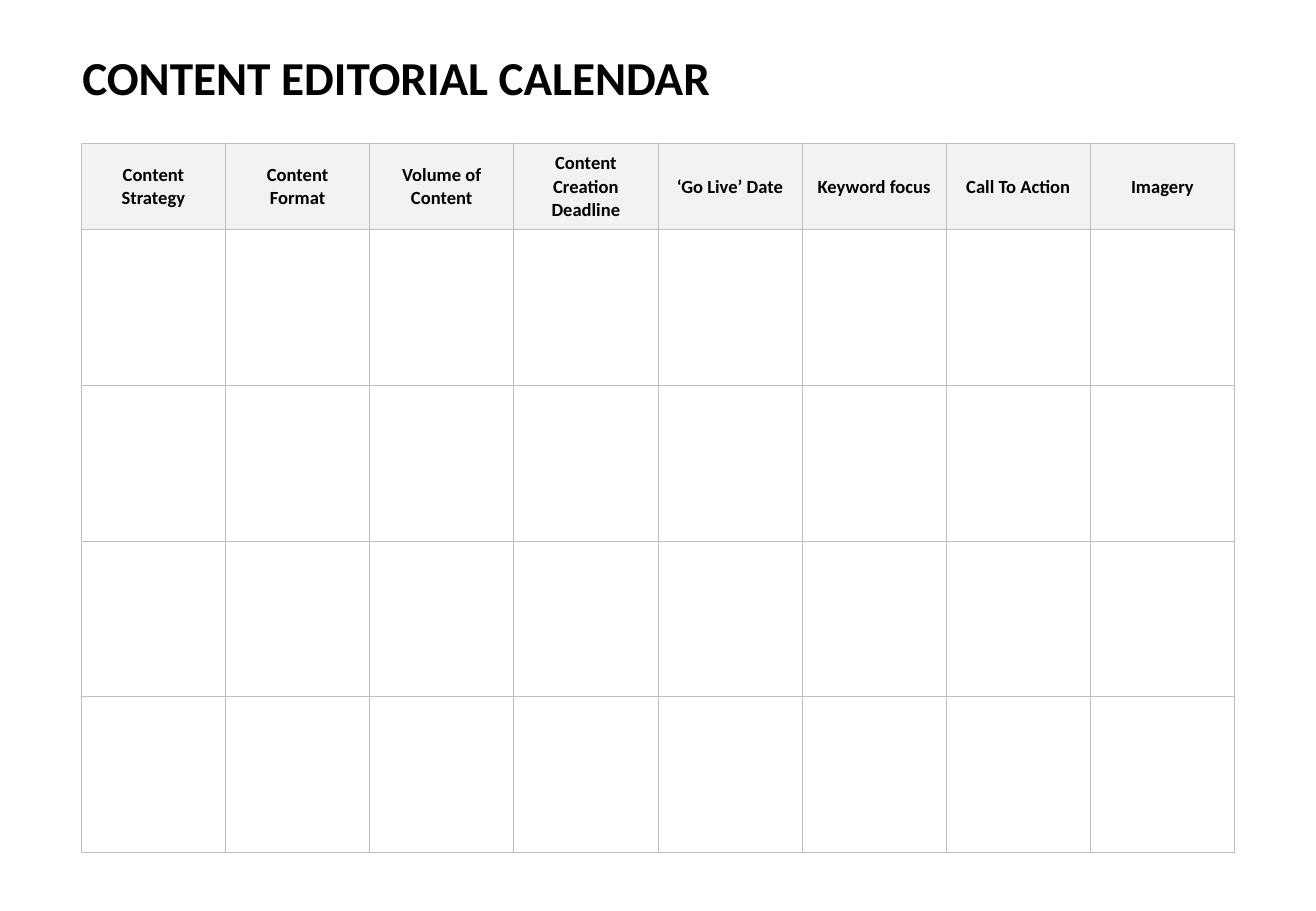
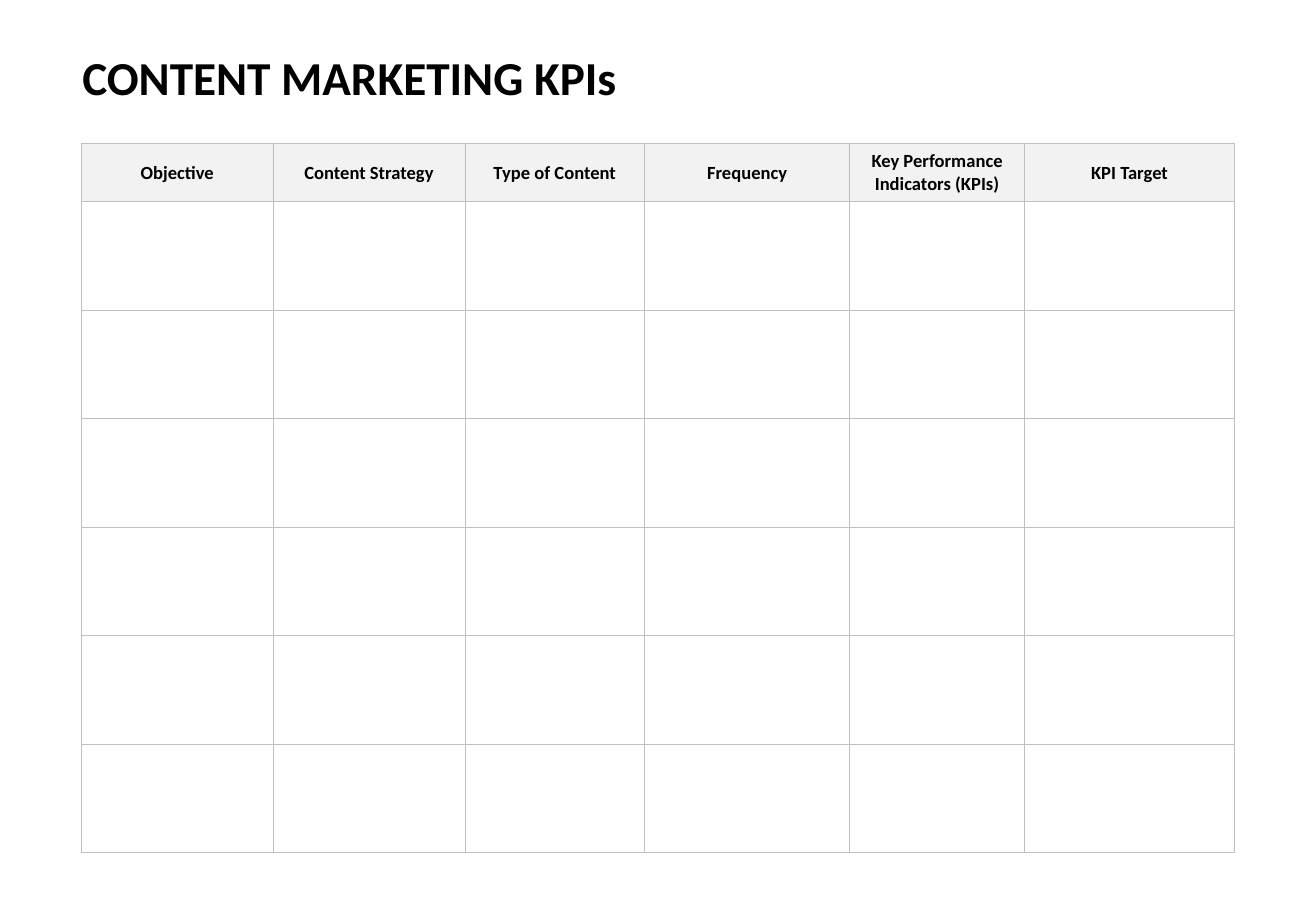
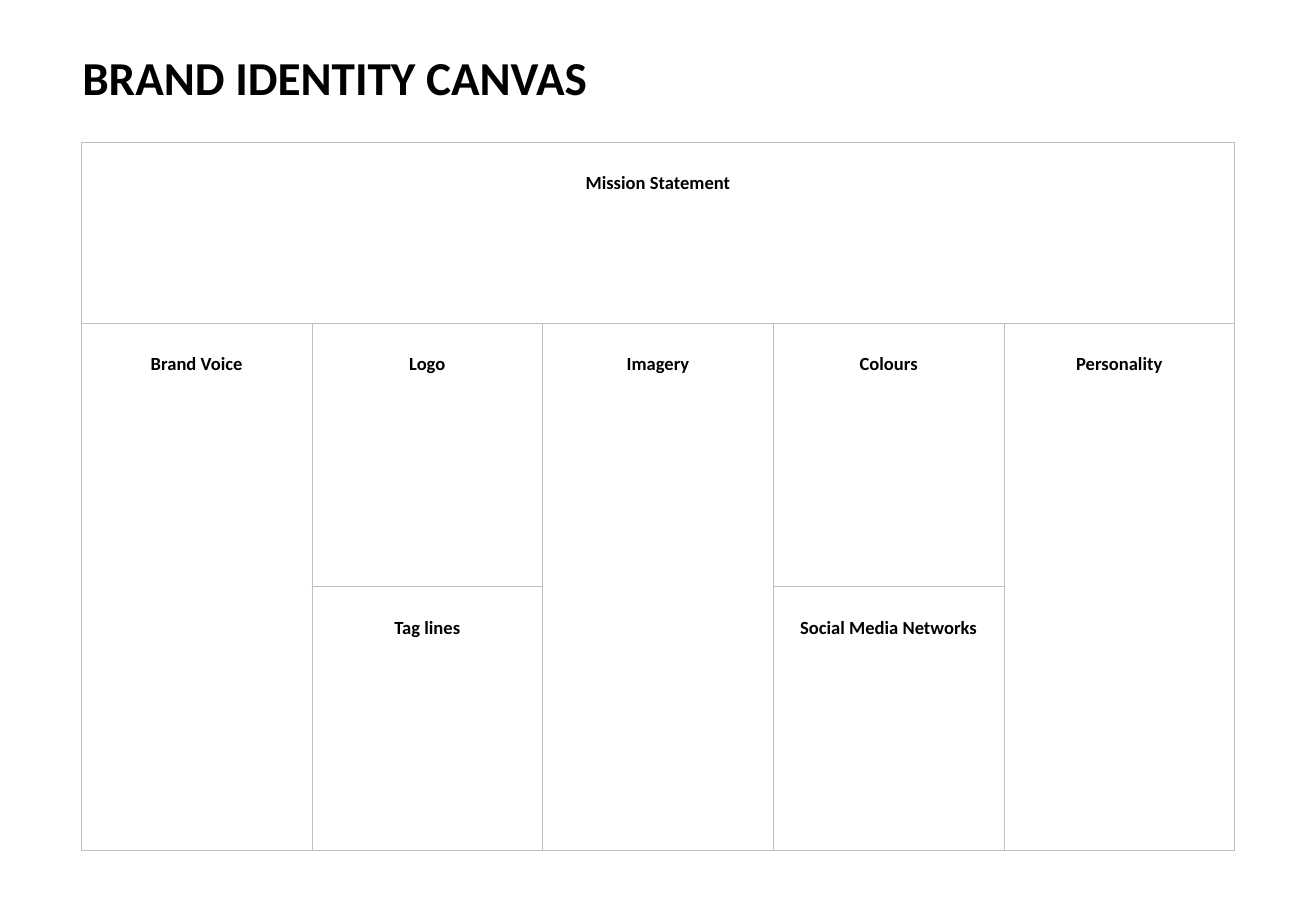
from lxml.etree import SubElement
from pptx import Presentation
from pptx.dml.color import RGBColor
from pptx.enum.text import MSO_ANCHOR as Anchor, MSO_AUTO_SIZE as AutoSize, PP_ALIGN as Align
from pptx.oxml.ns import qn
from pptx.util import Inches, Pt


def colour(value):
    return RGBColor.from_string(value)


class Planner:
    """Draws titled planning tables in one shared style."""

    FONT = "Calibri"
    INK = "000000"
    HEADER_FILL = "F2F2F2"
    BORDER = "BFBFBF"
    BORDER_WIDTH = Pt(0.45)
    LEFT = 0.67
    WIDTH = 9.5

    def __init__(self):
        self.deck = Presentation()
        self.deck.slide_width = Inches(10.84)
        self.deck.slide_height = Inches(7.5)
        self.page = None

    def style(self, para, size):
        para.font.name = self.FONT
        para.font.size = Pt(size)
        para.font.bold = True
        para.font.color.rgb = colour(self.INK)

    def start_page(self, title, width=8.83):
        self.page = self.deck.slides.add_slide(self.deck.slide_layouts[6])
        box = self.page.shapes.add_textbox(Inches(0.58), Inches(0.35), Inches(width), Inches(0.57))
        frame = box.text_frame
        frame.word_wrap = True
        frame.auto_size = AutoSize.SHAPE_TO_FIT_TEXT
        frame.vertical_anchor = Anchor.MIDDLE
        frame.text = title
        self.style(frame.paragraphs[0], 28)

    def outline(self, cell):
        properties = cell._tc.get_or_add_tcPr()
        for side in ("a:lnL", "a:lnR", "a:lnT", "a:lnB"):
            line = SubElement(properties, qn(side), w=str(self.BORDER_WIDTH))
            fill = SubElement(line, qn("a:solidFill"))
            SubElement(fill, qn("a:srgbClr"), val=self.BORDER)

    def grid(self, columns, first_row, body_rows, top=1.18, height=5.84):
        frame = self.page.shapes.add_table(
            body_rows + 1, len(columns),
            Inches(self.LEFT), Inches(top), Inches(self.WIDTH), Inches(height))
        table = frame.table
        table.first_row = False
        table.horz_banding = False
        for column, width in zip(table.columns, columns):
            column.width = Inches(width)
        for index, row in enumerate(table.rows):
            row.height = Inches((height - first_row) / body_rows if index else first_row)
        for cell in table.iter_cells():
            self.outline(cell)
            cell.fill.background()
        return table

    def label(self, cell, text):
        cell.text = text
        para = cell.text_frame.paragraphs[0]
        para.alignment = Align.CENTER
        para.line_spacing = 1.02
        self.style(para, 11)

    def worksheet(self, headings, columns, header_height, body_rows):
        table = self.grid(columns, header_height, body_rows)
        for cell, heading in zip(table.rows[0].cells, headings):
            self.label(cell, heading)
            cell.vertical_anchor = Anchor.MIDDLE
            cell.fill.solid()
            cell.fill.fore_color.rgb = colour(self.HEADER_FILL)

    def canvas(self, areas, column_count):
        columns = [self.WIDTH / column_count] * column_count
        table = self.grid(columns, 1.49, 2, top=1.17, height=5.83)
        for text, first, last in areas:
            cell = table.cell(*first)
            if first != last:
                cell.merge(table.cell(*last))
            self.label(cell, text)
            cell.margin_top = Inches(0.24)


def main():
    planner = Planner()

    planner.start_page("CONTENT EDITORIAL CALENDAR")
    headings = ["Content Strategy", "Content Format", "Volume of Content",
                "Content Creation Deadline", "‘Go Live’ Date", "Keyword focus",
                "Call To Action", "Imagery"]
    even_columns = [planner.WIDTH / len(headings)] * len(headings)
    planner.worksheet(headings, even_columns, 0.71, 4)

    planner.start_page("CONTENT MARKETING KPIs")
    planner.worksheet(
        ["Objective", "Content Strategy", "Type of Content", "Frequency",
         "Key Performance Indicators (KPIs)", "KPI Target"],
        [1.58, 1.58, 1.48, 1.69, 1.44, 1.73], 0.48, 6)

    planner.start_page("BRAND IDENTITY CANVAS", width=9.49)
    planner.canvas([
        ("Mission Statement", (0, 0), (0, 4)),
        ("Brand Voice", (1, 0), (2, 0)),
        ("Logo", (1, 1), (1, 1)),
        ("Tag lines", (2, 1), (2, 1)),
        ("Imagery", (1, 2), (2, 2)),
        ("Colours", (1, 3), (1, 3)),
        ("Social Media Networks", (2, 3), (2, 3)),
        ("Personality", (1, 4), (2, 4)),
    ], 5)

    planner.deck.save("out.pptx")


if __name__ == "__main__":
    main()
